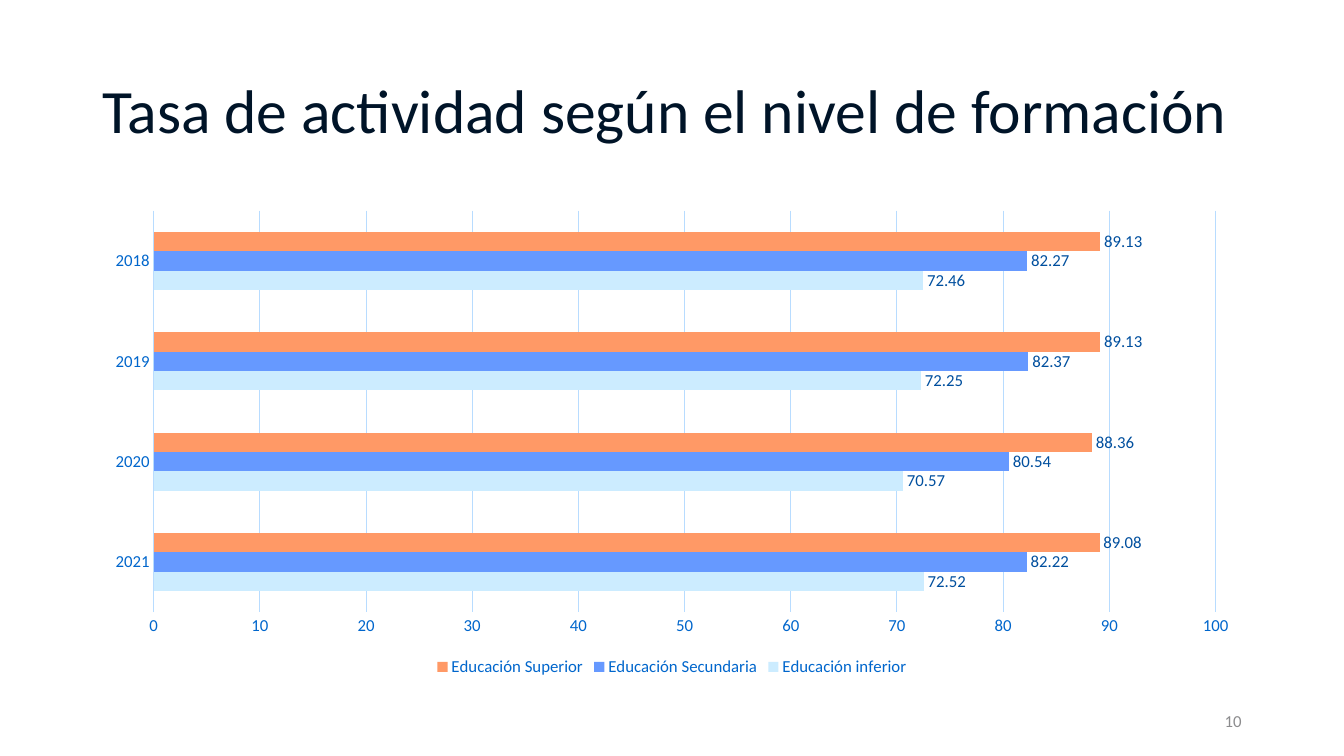
import pptx
import pptx.util
import pptx.dml.color
import pptx.chart.data
import pptx.enum.chart
import pptx.enum.text

Cm, Pt = pptx.util.Cm, pptx.util.Pt
RGBColor = pptx.dml.color.RGBColor
XL = pptx.enum.chart
ALIGN = pptx.enum.text.PP_ALIGN

# Content
TITLE = "Tasa de actividad según el nivel de formación"
PAGE = "10"
YEARS = ["2021", "2020", "2019", "2018"]
SERIES = [
    ("Educación inferior", (72.52, 70.57, 72.25, 72.46), RGBColor(0xCC, 0xEC, 0xFF)),
    ("Educación Secundaria", (82.22, 80.54, 82.37, 82.27), RGBColor(0x66, 0x99, 0xFF)),
    ("Educación Superior", (89.08, 88.36, 89.13, 89.13), RGBColor(0xFF, 0x99, 0x66)),
]

# Style
FONT = "Calibri"
NAVY = RGBColor(0x00, 0x14, 0x28)
BLUE = RGBColor(0x00, 0x66, 0xCC)
LABEL_BLUE = RGBColor(0x00, 0x4F, 0x9E)
GRID_BLUE = RGBColor(0xB8, 0xDC, 0xFF)
GREY = RGBColor(0x8C, 0x8C, 0x8E)

# Layout
SLIDE_W, SLIDE_H = Cm(33.87), Cm(19.05)
MARGIN = Cm(2.33)
CONTENT_W = SLIDE_W - 2 * MARGIN
PAGE_W = Cm(7.62)


def set_font(font, size, color):
    font.name = FONT
    font.size = Pt(size)
    font.color.rgb = color


def add_text(s, text, left, top, width, height, size, color, align, spacing=1.0):
    tf = s.shapes.add_textbox(left, top, width, height).text_frame
    tf.word_wrap = True
    tf.vertical_anchor = pptx.enum.text.MSO_ANCHOR.MIDDLE
    p = tf.paragraphs[0]
    p.text = text
    p.alignment = align
    p.line_spacing = spacing
    set_font(p.runs[0].font, size, color)


def set_line(line):
    line.color.rgb = GRID_BLUE
    line.width = Pt(0.75)


prs = pptx.Presentation()
prs.slide_width, prs.slide_height = SLIDE_W, SLIDE_H
s = prs.slides.add_slide(prs.slide_layouts[6])

# Title
add_text(s, TITLE, MARGIN, Cm(1.01), CONTENT_W, Cm(3.68), 44, NAVY, ALIGN.LEFT, 0.9)

# Chart
data = pptx.chart.data.CategoryChartData()
data.categories = YEARS
for name, values, color in SERIES:
    data.add_series(name, values)
chart = s.shapes.add_chart(XL.XL_CHART_TYPE.BAR_CLUSTERED, MARGIN, Cm(5.07),
                           CONTENT_W, Cm(12.09), data).chart
set_font(chart.font, 10, NAVY)
chart.has_title = False
chart.has_legend = True
chart.legend.position = XL.XL_LEGEND_POSITION.BOTTOM
chart.legend.include_in_layout = False
set_font(chart.legend.font, 12, BLUE)

# Bars and value labels
plot = chart.plots[0]
plot.gap_width = 219
plot.vary_by_categories = False
for series, (name, values, color) in zip(plot.series, SERIES):
    series.invert_if_negative = False
    series.format.fill.solid()
    series.format.fill.fore_color.rgb = color
    labels = series.data_labels
    labels.show_value = True
    labels.position = XL.XL_LABEL_POSITION.OUTSIDE_END
    set_font(labels.font, 12, LABEL_BLUE)

# Axes
for axis in (chart.category_axis, chart.value_axis):
    axis.major_tick_mark = axis.minor_tick_mark = XL.XL_TICK_MARK.NONE
    set_font(axis.tick_labels.font, 12, BLUE)
set_line(chart.category_axis.format.line)
value_axis = chart.value_axis
value_axis.minimum_scale, value_axis.maximum_scale = 0, 100
value_axis.major_unit = 10
value_axis.format.line.fill.background()
set_line(value_axis.major_gridlines.format.line)

# Page number
add_text(s, PAGE, SLIDE_W - MARGIN - PAGE_W, Cm(17.66), PAGE_W, Cm(1.01),
         12, GREY, ALIGN.RIGHT)

prs.save("out.pptx")
